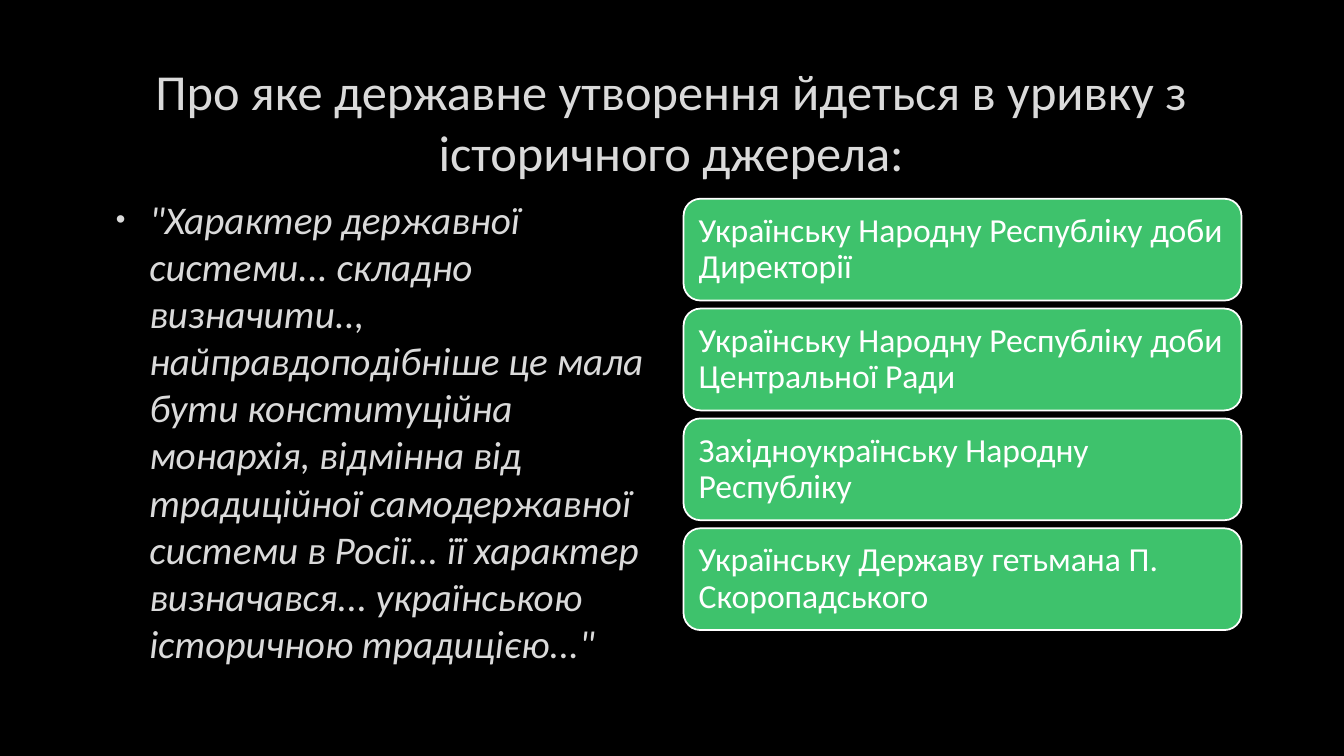
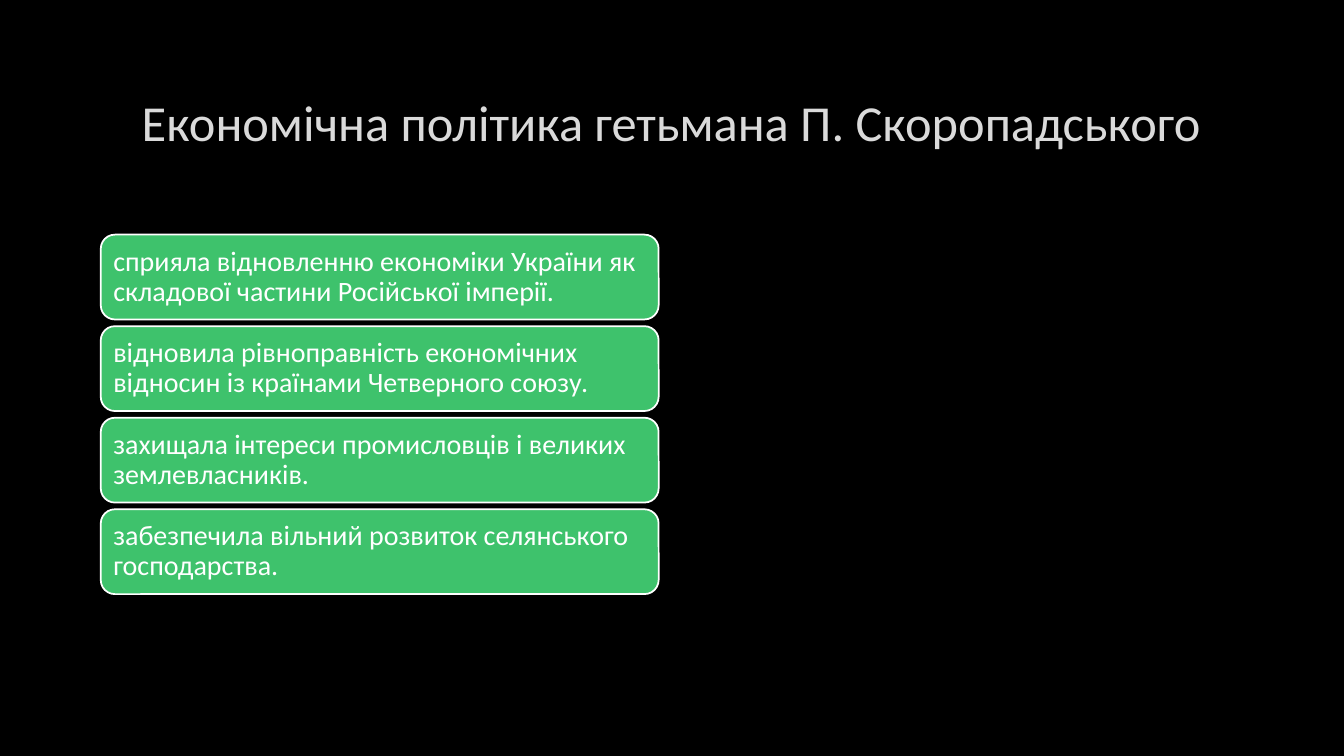
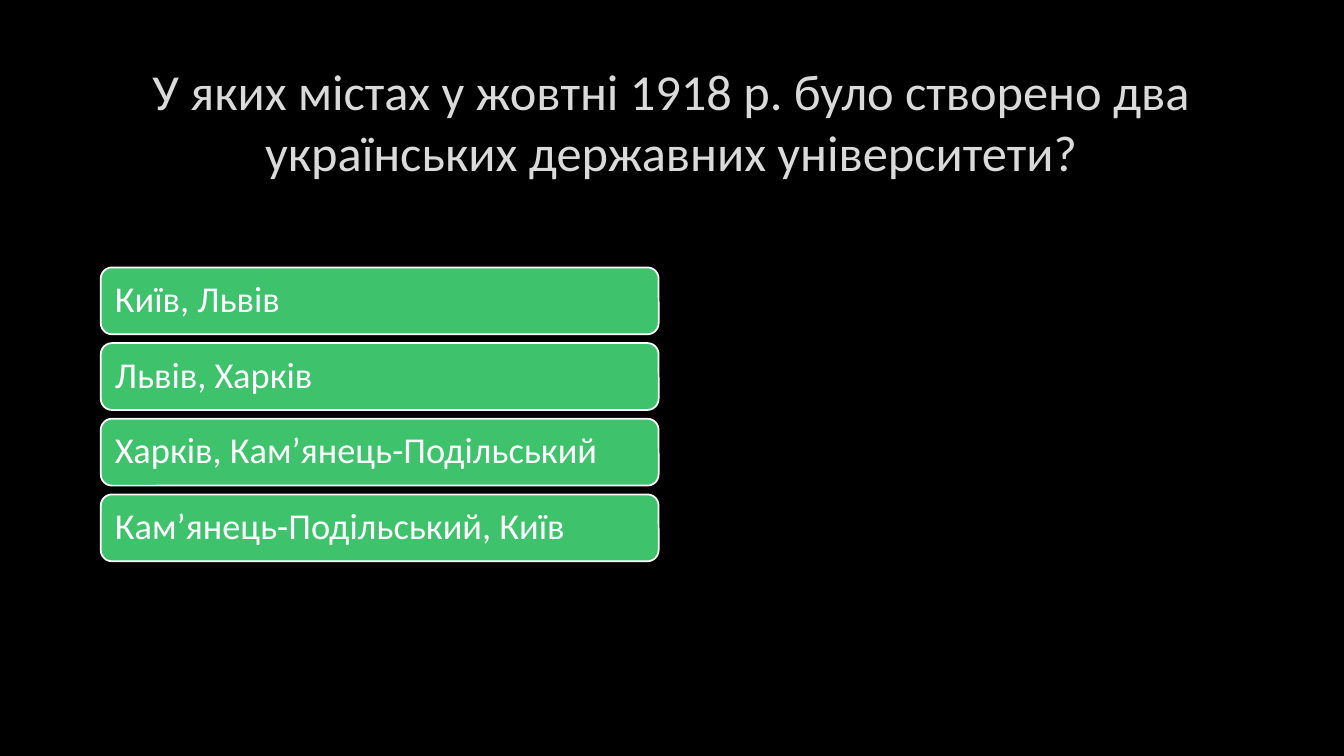
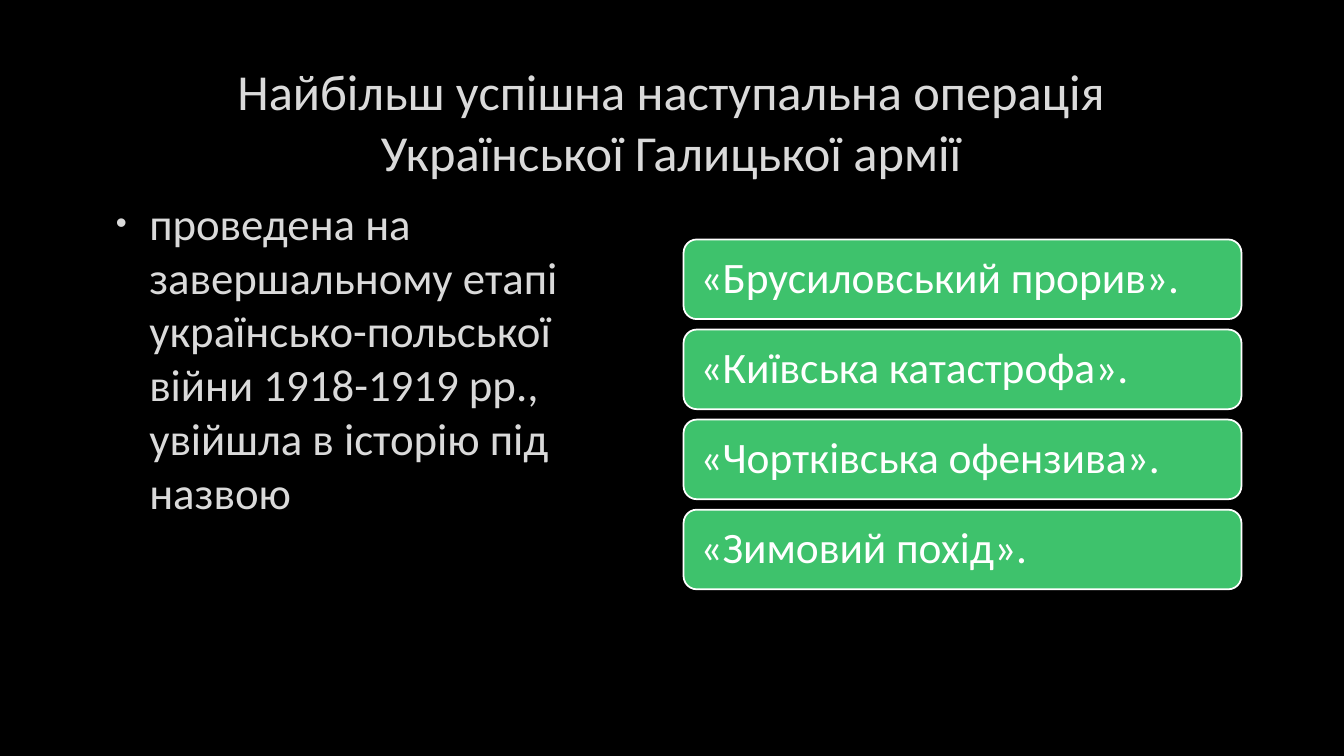
from lxml import etree
from pptx import Presentation
from pptx.dml.color import RGBColor
from pptx.enum.shapes import MSO_SHAPE
from pptx.enum.text import MSO_ANCHOR, MSO_AUTO_SIZE, PP_ALIGN
from pptx.oxml.ns import qn
from pptx.util import Pt

ROUNDED = MSO_SHAPE.ROUNDED_RECTANGLE
MIDDLE, TOP = MSO_ANCHOR.MIDDLE, MSO_ANCHOR.TOP
LEFT, CENTER = PP_ALIGN.LEFT, PP_ALIGN.CENTER
NO_AUTOFIT = MSO_AUTO_SIZE.NONE

COLORS = {"background": "000000", "text": "DADADA", "card": "3EC26C", "white": "FFFFFF"}
FONT = "Calibri"
TITLE_LAYOUT, BODY_LAYOUT = 5, 1
LEFT_COLUMN, RIGHT_COLUMN, COLUMN_WIDTH = 72, 488.3, 398.5
CARDS_MIDDLE = 296
GAP_RATIO, INSET_RATIO = 0.24, 0.3

QUESTIONS = [
    {
        "title": "Про яке державне утворення йдеться в уривку з історичного джерела:",
        "body": "\"Характер державної системи... складно визначити.., найправдоподібніше "
                "це мала бути конституційна монархія, відмінна від традиційної "
                "самодержавної системи в Росії... її характер визначався... "
                "українською історичною традицією...\"",
        "body_size": 28,
        "italic": True,
        "answers": [
            "Українську Народну Республіку доби Директорії",
            "Українську Народну Республіку доби Центральної Ради",
            "Західноукраїнську Народну Республіку",
            "Українську Державу гетьмана П. Скоропадського",
        ],
        "answer_size": 24,
        "card_height": 72.7,
    },
    {
        "title": "Економічна політика гетьмана П. Скоропадського",
        "answers": [
            "сприяла відновленню економіки України як складової частини Російської імперії.",
            "відновила рівноправність економічних відносин із країнами Четверного союзу.",
            "захищала інтереси промисловців і великих землевласників.",
            "забезпечила вільний розвиток селянського господарства.",
        ],
        "answer_size": 20,
        "card_height": 60.6,
    },
    {
        "title": "У яких містах у жовтні 1918 р. було створено два українських "
                 "державних університети?",
        "answers": [
            "Київ, Львів",
            "Львів, Харків",
            "Харків, Кам’янець-Подільський",
            "Кам’янець-Подільський, Київ",
        ],
        "answer_size": 26,
        "card_height": 47.8,
    },
    {
        "title": "Найбільш успішна наступальна операція Української Галицької армії",
        "body": "проведена на завершальному етапі українсько-польської війни "
                "1918-1919 рр., увійшла в історію під назвою",
        "body_size": 32,
        "answers": [
            "«Брусиловський прорив».",
            "«Київська катастрофа».",
            "«Чортківська офензива».",
            "«Зимовий похід».",
        ],
        "answer_size": 31,
        "card_height": 56.9,
    },
]


def rgb(name):
    """Return the named palette colour."""
    return RGBColor.from_string(COLORS[name])


def place(placeholder, left, top, width, height):
    """Move a placeholder to a position given in points."""
    placeholder.left, placeholder.top = Pt(left), Pt(top)
    placeholder.width, placeholder.height = Pt(width), Pt(height)


def style_master(master):
    """Set the background and the places that all slides inherit."""
    master.background.fill.solid()
    master.background.fill.fore_color.rgb = rgb("background")
    title, body = master.placeholders[0], master.placeholders[1]
    place(title, LEFT_COLUMN, 48.2, 815, 76.3)
    place(body, LEFT_COLUMN, 136, COLUMN_WIDTH, 320)


def write(frame, text, size, color, align, anchor, italic=False):
    """Fill a text frame with one formatted paragraph and return it."""
    frame.word_wrap = True
    frame.auto_size = NO_AUTOFIT
    frame.vertical_anchor = anchor
    paragraph = frame.paragraphs[0]
    paragraph.text = text
    paragraph.alignment = align
    paragraph.space_before = Pt(0)
    font = paragraph.font
    font.name, font.size, font.italic = FONT, Pt(size), italic
    font.color.rgb = rgb(color)
    return paragraph


def add_bullet(paragraph):
    """Give the paragraph a small round bullet and a hanging indent."""
    properties = paragraph._p.get_or_add_pPr()
    properties.set("marL", str(Pt(27.4)))
    properties.set("indent", str(Pt(-23.8)))
    color = etree.SubElement(properties, qn("a:buClr"))
    etree.SubElement(color, qn("a:srgbClr"), val=COLORS["text"])
    etree.SubElement(properties, qn("a:buSzPct"), val="70000")
    etree.SubElement(properties, qn("a:buFont"), typeface="Arial")
    etree.SubElement(properties, qn("a:buChar"), char="•")


def add_card(slide, text, left, top, height, size):
    """Add one rounded answer card."""
    card = slide.shapes.add_shape(ROUNDED, Pt(left), Pt(top), Pt(COLUMN_WIDTH), Pt(height))
    card.shadow.inherit = False
    card.fill.solid()
    card.fill.fore_color.rgb = rgb("card")
    card.line.color.rgb = rgb("white")
    card.line.width = Pt(1.25)
    frame = card.text_frame
    inset = Pt(INSET_RATIO * size)
    frame.margin_left = frame.margin_right = inset
    frame.margin_top = frame.margin_bottom = inset
    write(frame, text, size, "white", LEFT, MIDDLE).line_spacing = 0.9


def add_answers(slide, answers, left, height, size):
    """Stack the answer cards around the shared middle line."""
    gap = GAP_RATIO * size
    stack_height = len(answers) * (height + gap) - gap
    first_top = CARDS_MIDDLE - stack_height / 2
    for index, answer in enumerate(answers):
        add_card(slide, answer, left, first_top + index * (height + gap), height, size)


def add_question(deck, question):
    """Add a slide with a question, an optional passage and the answers."""
    has_body = "body" in question
    layout = deck.slide_layouts[BODY_LAYOUT if has_body else TITLE_LAYOUT]
    slide = deck.slides.add_slide(layout)
    write(slide.shapes.title.text_frame, question["title"], 36, "text", CENTER, MIDDLE)
    if has_body:
        frame = slide.placeholders[1].text_frame
        add_bullet(frame.paragraphs[0])
        write(frame, question["body"], question["body_size"], "text", LEFT, TOP,
              question.get("italic", False))
    add_answers(slide, question["answers"], RIGHT_COLUMN if has_body else LEFT_COLUMN,
                question["card_height"], question["answer_size"])


def main():
    """Build and save the quiz."""
    deck = Presentation()
    deck.slide_width, deck.slide_height = Pt(960), Pt(540)
    style_master(deck.slide_master)
    for question in QUESTIONS:
        add_question(deck, question)
    deck.save("out.pptx")


if __name__ == "__main__":
    main()
